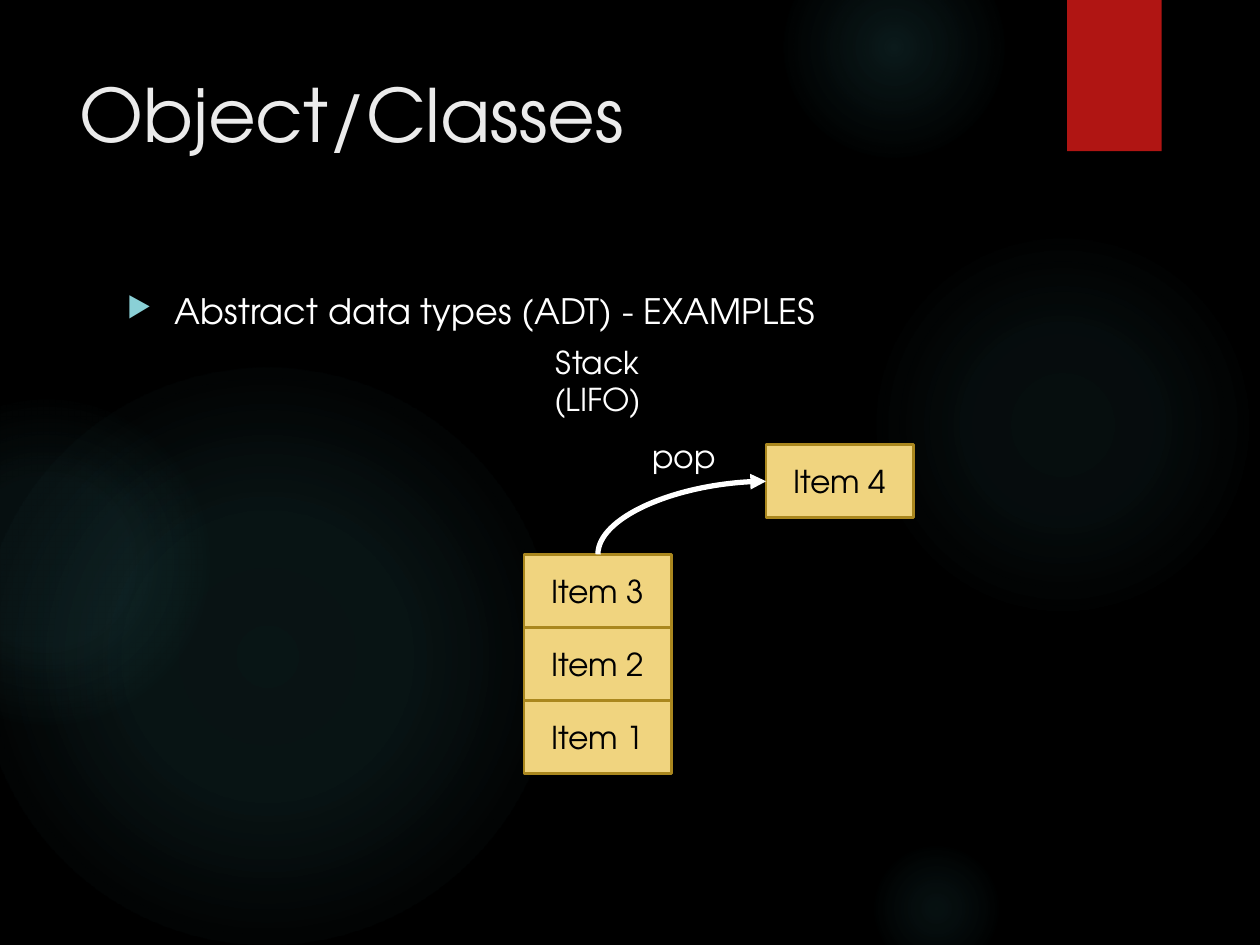
from lxml.etree import SubElement
from pptx import Presentation
from pptx.dml.color import RGBColor
from pptx.enum.shapes import MSO_CONNECTOR, MSO_SHAPE
from pptx.enum.text import MSO_ANCHOR, MSO_AUTO_SIZE, PP_ALIGN
from pptx.oxml import parse_xml
from pptx.oxml.ns import nsdecls, qn
from pptx.util import Inches, Pt

FONT = "TeX Gyre Adventor"
WHITE, BLACK = "FFFFFF", "000000"
GLOW, RED, TITLE, BULLET = "50B9C1", "B01513", "EBEBEB", "8AD0D6"
ITEM_FILL, ITEM_LINE = "F0D47F", "AA871E"


def color(hex_string):
    return RGBColor.from_string(hex_string)


class SlideBuilder:
    """Holds the current slide and draws its elements in one style."""

    def __init__(self, slide):
        self.slide = slide
        slide.background.fill.solid()
        slide.background.fill.fore_color.rgb = color(BLACK)

    def shape(self, kind, left, top, width, height):
        shape = self.slide.shapes.add_shape(
            kind, Inches(left), Inches(top), Inches(width), Inches(height))
        shape.shadow.inherit = False
        shape.line.fill.background()
        return shape

    def glow(self, left, top, size, stops):
        """Draw a circle that fades outwards; stops are (position, opacity) percents."""
        circle = self.shape(MSO_SHAPE.OVAL, left, top, size, size)
        stop_xml = "".join(
            f'<a:gs pos="{position * 1000}"><a:srgbClr val="{GLOW}">'
            f'<a:alpha val="{opacity * 1000}"/></a:srgbClr></a:gs>'
            for position, opacity in stops)
        gradient = parse_xml(
            f'<a:gradFill {nsdecls("a")}><a:gsLst>{stop_xml}</a:gsLst>'
            '<a:path path="circle"><a:fillToRect l="50000" t="50000" r="50000" b="50000"/>'
            '</a:path></a:gradFill>')
        circle.element.spPr.find(qn("a:prstGeom")).addnext(gradient)

    def rectangle(self, left, top, width, height, fill):
        box = self.shape(MSO_SHAPE.RECTANGLE, left, top, width, height)
        box.fill.solid()
        box.fill.fore_color.rgb = color(fill)
        return box

    def ribbon(self, left, top, width, height):
        box = self.rectangle(left, top, width, height, RED)
        effects = box.element.spPr.find(qn("a:effectLst"))
        effects.append(parse_xml(
            f'<a:outerShdw {nsdecls("a")} blurRad="{Pt(3)}" dist="{Pt(2)}" dir="5400000" '
            f'rotWithShape="0"><a:srgbClr val="{BLACK}"><a:alpha val="45000"/></a:srgbClr>'
            '</a:outerShdw>'))

    def fill_frame(self, frame, lines, size, fill, align):
        frame.word_wrap = True
        for index, line in enumerate(lines):
            para = frame.add_paragraph() if index else frame.paragraphs[0]
            para.text = line
            para.alignment = align
            para.font.name = FONT
            para.font.size = Pt(size)
            para.font.color.rgb = color(fill)

    def text(self, left, top, width, height, lines, size=18, fill=WHITE,
             align=PP_ALIGN.LEFT, grow=False):
        box = self.slide.shapes.add_textbox(
            Inches(left), Inches(top), Inches(width), Inches(height))
        self.fill_frame(box.text_frame, lines, size, fill, align)
        if grow:
            box.text_frame.auto_size = MSO_AUTO_SIZE.SHAPE_TO_FIT_TEXT
        return box

    def bullet(self, left, top, width, height, line):
        box = self.text(left, top, width, height, [line], size=20)
        para = box.text_frame.paragraphs[0]
        para.space_before = Pt(10)
        properties = para.font._element.getparent()
        properties.set("marL", str(Inches(0.38)))
        properties.set("indent", str(Inches(-0.38)))
        # Bullet settings stand between the spacing and the default run style.
        for bullet_xml in (
            f'<a:buClr {nsdecls("a")}><a:srgbClr val="{BULLET}"/></a:buClr>',
            f'<a:buSzPct {nsdecls("a")} val="80000"/>',
            f'<a:buChar {nsdecls("a")} char="▶"/>',
        ):
            properties.find(qn("a:defRPr")).addprevious(parse_xml(bullet_xml))

    def item(self, left, top, width, height, label):
        box = self.rectangle(left, top, width, height, ITEM_FILL)
        box.line.color.rgb = color(ITEM_LINE)
        box.line.width = Pt(1.5)
        box.text_frame.vertical_anchor = MSO_ANCHOR.MIDDLE
        self.fill_frame(box.text_frame, [label], 18, BLACK, PP_ALIGN.CENTER)

    def curved_arrow(self, start_x, start_y, end_x, end_y):
        """Draw an arrow that leaves upwards and arrives from the left."""
        center_x, center_y = (start_x + end_x) / 2, (start_y + end_y) / 2
        half_width, half_height = (start_y - end_y) / 2, (end_x - start_x) / 2
        # The frame is turned a quarter, so its width is the rise of the arrow.
        arrow = self.slide.shapes.add_connector(
            MSO_CONNECTOR.CURVE,
            Inches(center_x + half_width), Inches(center_y + half_height),
            Inches(center_x - half_width), Inches(center_y - half_height))
        arrow.line.color.rgb = color(WHITE)
        arrow.line.width = Pt(3)
        properties = arrow.element.spPr
        properties.find(qn("a:xfrm")).set("rot", "5400000")
        properties.find(qn("a:prstGeom")).set("prst", "curvedConnector2")
        SubElement(properties.find(qn("a:ln")), qn("a:tailEnd"), type="triangle")
        SubElement(properties, qn("a:effectLst"))


def main():
    deck = Presentation()
    deck.slide_width, deck.slide_height = Inches(10), Inches(7.5)
    page = SlideBuilder(deck.slides.add_slide(deck.slide_layouts[6]))

    for left, top, size, stops in (
        (6.89, 1.83, 3.08, ((0, 7), (36, 6), (69, 0))),
        (6.22, -0.5, 1.75, ((0, 14), (36, 7), (73, 0))),
        (6.89, 6.67, 1.08, ((0, 9), (36, 5), (66, 0))),
        (-0.17, 2.92, 4.58, ((0, 11), (36, 10), (75, 0))),
        (-0.92, 3.17, 2.58, ((0, 8), (36, 8), (72, 0))),
    ):
        page.glow(left, top, size, stops)
    page.ribbon(8.47, 0, 0.75, 1.2)

    page.text(0.53, 0.5, 7.72, 1.53, ["Object/Classes"], size=42, fill=TITLE)
    page.bullet(0.91, 2.25, 7.34, 4.59, "Abstract data types (ADT) - EXAMPLES")

    item_width, item_height = 1.17, 0.58
    stack_left, stack_top = 4.16, 4.4
    popped_left, popped_top = 6.08, 3.53
    page.item(popped_left, popped_top, item_width, item_height, "Item 4")
    for row, label in enumerate(("Item 3", "Item 2", "Item 1")):
        page.item(stack_left, stack_top + row * item_height, item_width, item_height, label)

    page.text(stack_left, 2.67, item_width, 0.71, ["Stack", "(LIFO)"],
              align=PP_ALIGN.CENTER, grow=True)
    page.curved_arrow(stack_left + item_width / 2, stack_top,
                      popped_left, popped_top + item_height / 2)
    page.text(5.08, 3.42, 1.23, 0.4, ["pop"], grow=True)

    deck.save("out.pptx")


if __name__ == "__main__":
    main()
